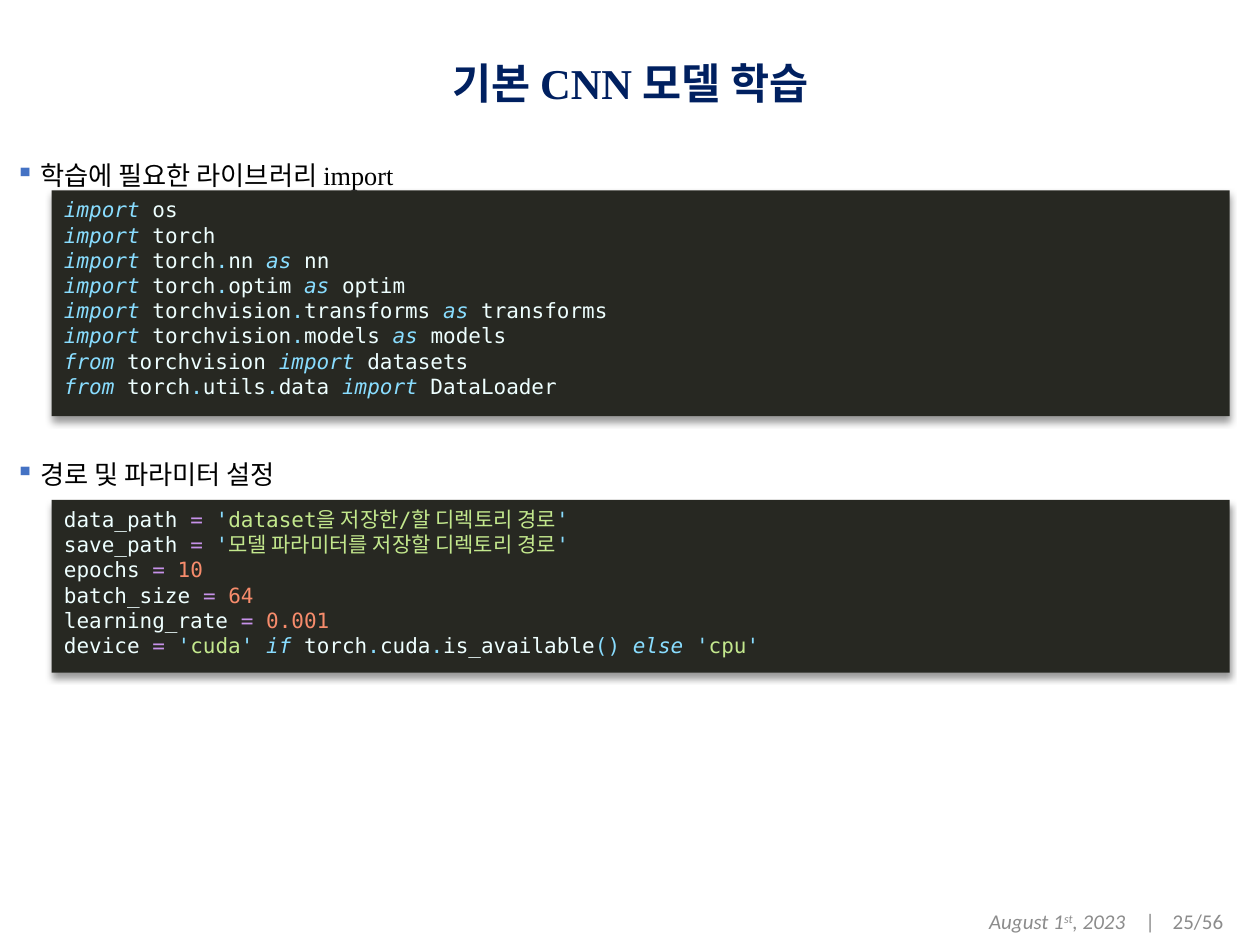
import itertools
import lxml.etree
import pptx
import pptx.dml.color
import pptx.enum.shapes
import pptx.enum.text
import pptx.oxml
import pptx.oxml.ns
import pptx.util

Cm, Pt = pptx.util.Cm, pptx.util.Pt
Align, Anchor = pptx.enum.text.PP_ALIGN, pptx.enum.text.MSO_ANCHOR

TITLE = "기본 CNN 모델 학습"
PARTS = [
    ("학습에 필요한 라이브러리 import", 3.12, 3.84, 4.55, [
        "import os",
        "import torch",
        "import torch.nn as nn",
        "import torch.optim as optim",
        "import torchvision.transforms as transforms",
        "import torchvision.models as models",
        "from torchvision import datasets",
        "from torch.utils.data import DataLoader",
    ]),
    ("경로 및 파라미터 설정", 9.14, 10.08, 3.48, [
        "data_path = 'dataset을 저장한/할 디렉토리 경로'",
        "save_path = '모델 파라미터를 저장할 디렉토리 경로'",
        "epochs = 10",
        "batch_size = 64",
        "learning_rate = 0.001",
        "device = 'cuda' if torch.cuda.is_available() else 'cpu'",
    ]),
]
DATE = [("August 1", True, False), ("st", True, True),
        (", 2023", True, False), ("\t|\t25/56", False, False)]
TABS = [3.15, 3.7]

WORDS = {"import", "from", "as", "if", "else"}
INK = {"plain": "EEFFFF", "mark": "89DDFF", "key": "89DDFF",
       "sign": "C792EA", "num": "F78C6C", "text": "C3E88D"}
LEFT, WIDE = 1.04, 23.75


def paint(hue):
    return pptx.dml.color.RGBColor.from_string(hue)


def style(font, size, name, hue):
    font.size, font.name = Pt(size), name
    font.color.rgb = paint(hue)


def node(tag, **attrs):
    item = pptx.oxml.parse_xml(f"<a:{tag} {pptx.oxml.ns.nsdecls('a')}/>")
    for key, value in attrs.items():
        item.set(key, str(value))
    return item


def add_box(left, top, wide, high, pads=(0.25, 0.13)):
    box = slide.shapes.add_textbox(Cm(left), Cm(top), Cm(wide), Cm(high))
    frame = box.text_frame
    frame.word_wrap = True
    frame.margin_left = frame.margin_right = Cm(pads[0])
    frame.margin_top = frame.margin_bottom = Cm(pads[1])
    return frame


def split_code(part):
    for i, word in enumerate(part.split(" ")):
        if i:
            yield "plain", " "
        if word in WORDS:
            yield "key", word
        elif word == "=":
            yield "sign", word
        elif word[:1].isdigit():
            yield "num", word
        else:
            for mark, chars in itertools.groupby(word, lambda c: c in ".()"):
                yield "mark" if mark else "plain", "".join(chars)


def split_line(line):
    for i, part in enumerate(line.split("'")):
        if i:
            yield "mark", "'"
        if i % 2:
            yield "text", part
        else:
            yield from split_code(part)


def add_panel(top, high):
    panel = slide.shapes.add_shape(
        pptx.enum.shapes.MSO_SHAPE.RECTANGLE,
        Cm(LEFT), Cm(top), Cm(WIDE), Cm(high))
    panel.fill.solid()
    panel.fill.fore_color.rgb = paint("272822")
    panel.line.fill.background()
    panel.shadow.inherit = False
    shade = node("outerShdw", blurRad=Pt(4), dist=Pt(3), dir=90 * 60000,
                 algn="t", rotWithShape=0)
    black = node("srgbClr", val="000000")
    black.append(node("alpha", val=40000))
    shade.append(black)
    panel._element.spPr.find(pptx.oxml.ns.qn("a:effectLst")).append(shade)


def add_code(top, high, lines):
    add_panel(top, high)
    frame = add_box(LEFT, top, WIDE - 0.15, high - 0.16)
    for i, line in enumerate(lines):
        para = frame.add_paragraph() if i else frame.paragraphs[0]
        style(para.font, 12, "DejaVu Sans Mono", INK["plain"])
        for kind, text in split_line(line):
            run = para.add_run()
            run.text = text
            style(run.font, 12, "DejaVu Sans Mono", INK[kind])
            run.font.italic = kind == "key"


def add_head(text, top):
    para = add_box(0.13, top, 24.66, 4.04, (0.18, 0.1)).paragraphs[0]
    para.text = text
    props = para._p.get_or_add_pPr()
    props.set("marL", str(Cm(0.5)))
    props.set("indent", str(Cm(-0.5)))
    hue = node("buClr")
    hue.append(node("srgbClr", val="4472C4"))
    props.append(hue)
    props.append(node("buChar", char="▪"))
    style(para.font, 15, "Times New Roman", "000000")


def add_title():
    frame = add_box(0.38, 0.86, 24.66, 1.5)
    frame.vertical_anchor = Anchor.MIDDLE
    para = frame.paragraphs[0]
    para.text, para.alignment, para.line_spacing = TITLE, Align.CENTER, 1.1
    style(para.font, 24.3, "Times New Roman", "002060")
    para.font.bold = True


def add_date():
    frame = add_box(19.69, 18.06, 5.71, 1.02)
    frame.vertical_anchor = Anchor.MIDDLE
    para = frame.paragraphs[0]
    stops = node("tabLst")
    for stop in TABS:
        stops.append(node("tab", pos=Cm(stop), algn="l"))
    para._p.get_or_add_pPr().append(stops)
    style(para.font, 12, "Calibri", "8C8C8C")
    for text, slant, high in DATE:
        run = para.add_run()
        run.text = text
        style(run.font, 12, "Calibri", "8C8C8C")
        run.font.italic = slant
        if high:
            run._r.get_or_add_rPr().set("baseline", "30000")


deck = pptx.Presentation()
deck.slide_width, deck.slide_height = Cm(25.4), Cm(19.05)
slide = deck.slides.add_slide(deck.slide_layouts[6])
add_title()
for head, top, start, high, lines in PARTS:
    add_code(start, high, lines)
    add_head(head, top)
add_date()
deck.save("out.pptx")
